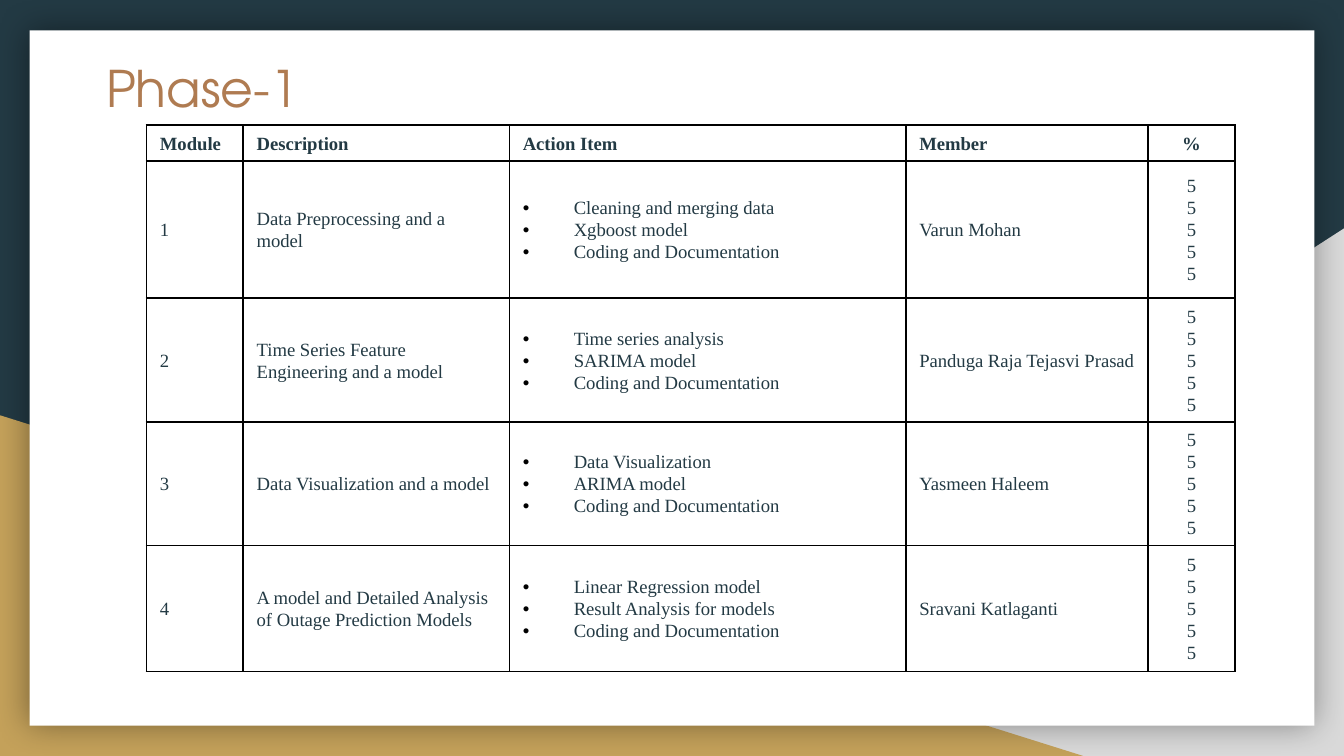
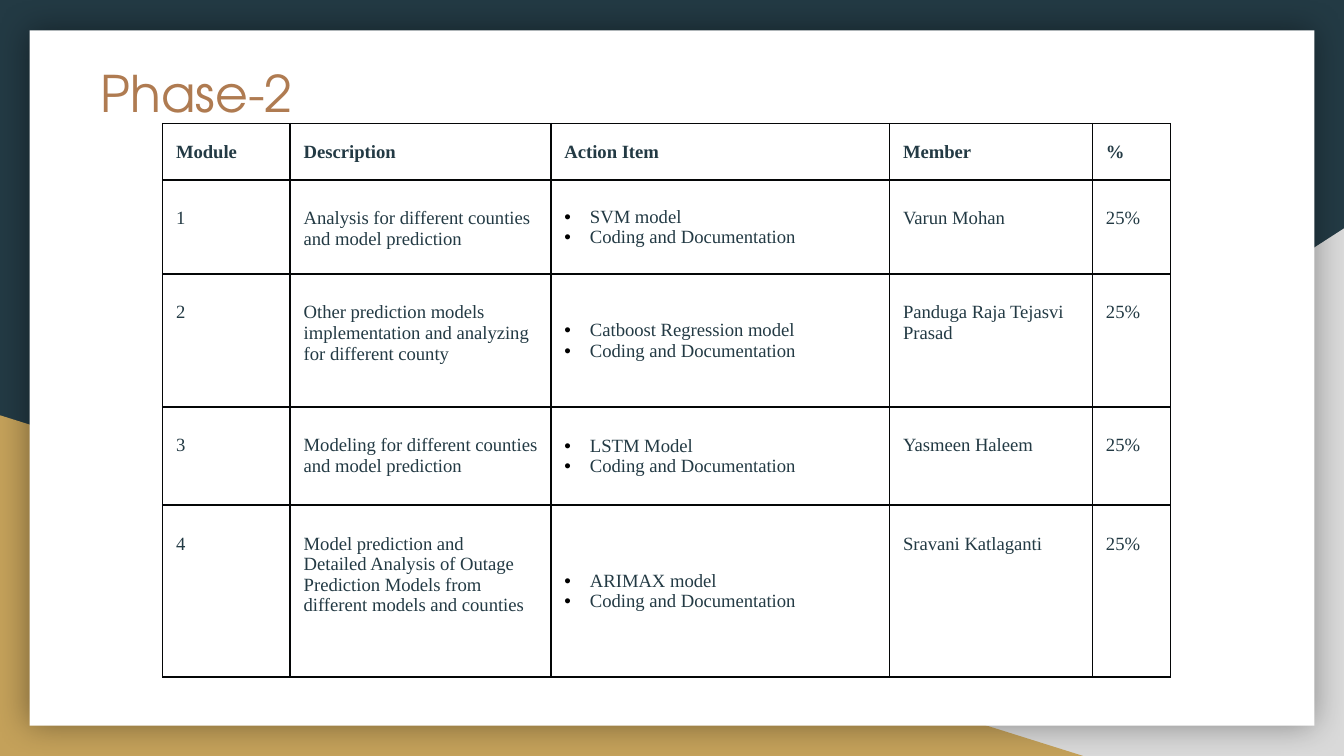
from dataclasses import dataclass

from lxml import etree
from pptx import Presentation
from pptx.dml.color import RGBColor
from pptx.enum.shapes import MSO_SHAPE
from pptx.enum.text import MSO_ANCHOR, MSO_AUTO_SIZE, PP_ALIGN
from pptx.oxml.ns import qn
from pptx.util import Inches, Pt

TRIANGLE, RECT = MSO_SHAPE.RIGHT_TRIANGLE, MSO_SHAPE.RECTANGLE
TOP, MIDDLE = MSO_ANCHOR.TOP, MSO_ANCHOR.MIDDLE
LEFT, CENTER = PP_ALIGN.LEFT, PP_ALIGN.CENTER
NO_FIT = MSO_AUTO_SIZE.NONE
TITLE_ONLY = 5
HEADINGS = ["Module", "Description", "Action Item", "Member", "%"]
ACTION, PERCENT = HEADINGS.index("Action Item"), HEADINGS.index("%")


@dataclass(frozen=True)
class Theme:
    navy: str = "233A44"
    gold: str = "C4A15A"
    grey: str = "D9D9D9"
    white: str = "FFFFFF"
    bronze: str = "AF7B51"
    black: str = "000000"
    ink: str = "040607"
    title_font: str = "TeX Gyre Adventor"
    body_font: str = "Times New Roman"
    title_size: float = 27
    body_size: float = 10
    border: float = 1


def child(parent, tag, **attrs):
    """Append a DrawingML element and return it."""
    el = etree.SubElement(parent, qn(f"a:{tag}"))
    for name, value in attrs.items():
        el.set(name, str(value))
    return el


def color_in(parent, color):
    return child(parent, "srgbClr", val=color)


def write(tf, text, *, font, size, color, bold=False, align=LEFT,
          spacing=None, indent=None, bullet_color=None):
    """Write text, one paragraph a line; an indent makes it a bullet list."""
    for i, line in enumerate(text.split("\n")):
        p = tf.paragraphs[0] if i == 0 else tf.add_paragraph()
        p.alignment = align
        if spacing:
            p.line_spacing = spacing
        if indent:
            pPr = p._p.get_or_add_pPr()
            pPr.set("marL", str(Inches(indent)))
            pPr.set("indent", str(-Inches(indent)))
            color_in(child(pPr, "buClr"), bullet_color)
            child(pPr, "buFont", typeface="Arial")
            child(pPr, "buChar", char="•")
        r = p.add_run()
        r.text = line
        r.font.name, r.font.size, r.font.bold = font, Pt(size), bold
        r.font.color.rgb = RGBColor.from_string(color)


class Deck:
    """Holds the style and the current slide; lengths are percent of the slide."""

    def __init__(self, theme):
        self.theme = theme
        self.prs = Presentation()
        self.prs.slide_width, self.prs.slide_height = Inches(10), Inches(5.625)
        self.layout = self.prs.slide_layouts[TITLE_ONLY]
        fill = self.layout.background.fill
        fill.solid()
        fill.fore_color.rgb = RGBColor.from_string(theme.navy)
        self.slide = None

    def x(self, share):
        return round(self.prs.slide_width * share / 100)

    def y(self, share):
        return round(self.prs.slide_height * share / 100)

    def box(self, left, top, width, height):
        return self.x(left), self.y(top), self.x(width), self.y(height)

    def shape(self, kind, at, color, flip=False):
        sp = self.slide.shapes.add_shape(kind, *self.box(*at))
        sp.shadow.inherit = False
        sp.fill.solid()
        sp.fill.fore_color.rgb = RGBColor.from_string(color)
        sp.line.fill.background()
        if flip:
            sp.element.spPr.find(qn("a:xfrm")).set("flipH", "1")
        return sp

    def backdrop(self):
        """Draw the triangles and the card, then hand them to the layout."""
        t = self.theme
        card_at = (2.2, 4, 95.6, 92)
        parts = [
            self.shape(TRIANGLE, (39.2, 30.22, 60.8, 69.78), t.grey, flip=True),
            self.shape(TRIANGLE, (0, 54.93, 80.6, 45.07), t.gold),
            self.shape(RECT, card_at, t.white),
        ]
        effects = parts[-1].element.spPr.find(qn("a:effectLst"))
        shadow = child(effects, "outerShdw", blurRad=Pt(18), dist=0, dir=0,
                       algn="ctr", rotWithShape=0)
        child(color_in(shadow, t.black), "alpha", val=40000)
        for i, sp in enumerate(parts):
            self.layout.shapes.element.insert(2 + i, sp.element)

    def add_slide(self, title, at):
        t = self.theme
        self.slide = self.prs.slides.add_slide(self.layout)
        if len(self.prs.slides) == 1:
            self.backdrop()
        sp = self.slide.shapes.title
        sp.left, sp.top, sp.width, sp.height = self.box(*at)
        tf = sp.text_frame
        tf.word_wrap, tf.auto_size, tf.vertical_anchor = True, NO_FIT, TOP
        tf.margin_left = tf.margin_right = Inches(0.1)
        tf.margin_top = tf.margin_bottom = Inches(0.1)
        write(tf, title, font=t.title_font, size=t.title_size, color=t.bronze)

    def borders(self, cell, color):
        tcPr = cell._tc.get_or_add_tcPr()
        for side in "LRTB":
            ln = child(tcPr, f"ln{side}", w=Pt(self.theme.border))
            color_in(child(ln, "solidFill"), color)

    def table(self, left, top, cols, heights, rows, *, border, indent,
              spacing=None, lowered=False, percent_align=LEFT):
        """Module table; lowered sets plain body cells one line below the top."""
        t = self.theme
        at = self.box(left, top, sum(cols), sum(heights))
        table = self.slide.shapes.add_table(len(heights), len(cols), *at).table
        table.first_row = table.horz_banding = False
        for col, width in zip(table.columns, cols):
            col.width = self.x(width)
        for row, height in zip(table.rows, heights):
            row.height = self.y(height)
        for i, texts in enumerate([HEADINGS, *rows]):
            for j, text in enumerate(texts):
                cell = table.cell(i, j)
                self.borders(cell, border)
                cell.fill.background()
                cell.vertical_anchor = MIDDLE
                bullets = i > 0 and j == ACTION
                if lowered and i > 0 and not bullets:
                    cell.vertical_anchor = TOP
                    cell.margin_top = Inches(0.21)
                write(cell.text_frame, text, font=t.body_font, size=t.body_size,
                      color=t.navy, bold=i == 0, spacing=spacing,
                      align=percent_align if j == PERCENT else LEFT,
                      indent=indent if bullets else None, bullet_color=t.black)


MEMBERS = ["Varun Mohan", "Panduga Raja Tejasvi Prasad", "Yasmeen Haleem",
           "Sravani Katlaganti"]
CODING = "Coding and Documentation"

# Description and action items of each module
PHASE_1 = [
    ("Data Preprocessing and a model", "Cleaning and merging data\nXgboost model"),
    ("Time Series Feature Engineering and a model",
     "Time series analysis\nSARIMA model"),
    ("Data Visualization and a model", "Data Visualization\nARIMA model"),
    ("A model and Detailed Analysis of Outage Prediction Models",
     "Linear Regression model\nResult Analysis for models"),
]
PHASE_2 = [
    ("Analysis for different counties and model prediction", "SVM model"),
    ("Other prediction models implementation and analyzing for different county",
     "Catboost Regression model"),
    ("Modeling for different counties and model prediction", "LSTM Model"),
    ("Model prediction and\nDetailed Analysis of Outage Prediction Models "
     "from different models and counties", "ARIMAX model"),
]


def module_rows(phase, percent):
    return [[str(n), description, f"{actions}\n{CODING}", member, percent]
            for n, ((description, actions), member)
            in enumerate(zip(phase, MEMBERS), 1)]


def main():
    theme = Theme()
    deck = Deck(theme)

    # Phase 1
    deck.add_slide("Phase-1", (6.9, 7.11, 82.1, 0.89))
    deck.table(10.9, 16.53, [7.2, 19.8, 29.5, 18, 6.5],
               [4.8, 18.13, 15.82, 15.82, 16.71],
               module_rows(PHASE_1, "\n".join("5" * 5)),
               border=theme.black, indent=0.38, spacing=1.07,
               percent_align=CENTER)

    # Phase 2
    deck.add_slide("Phase-2", (6.5, 6.4, 82.1, 6.04))
    deck.table(12.1, 16.36, [9.5, 19.4, 25.2, 15.1, 5.8],
               [7.47, 12.44, 17.6, 12.98, 22.76],
               module_rows(PHASE_2, "25%"),
               border=theme.ink, indent=0.19, lowered=True)

    deck.prs.save("out.pptx")


if __name__ == "__main__":
    main()
